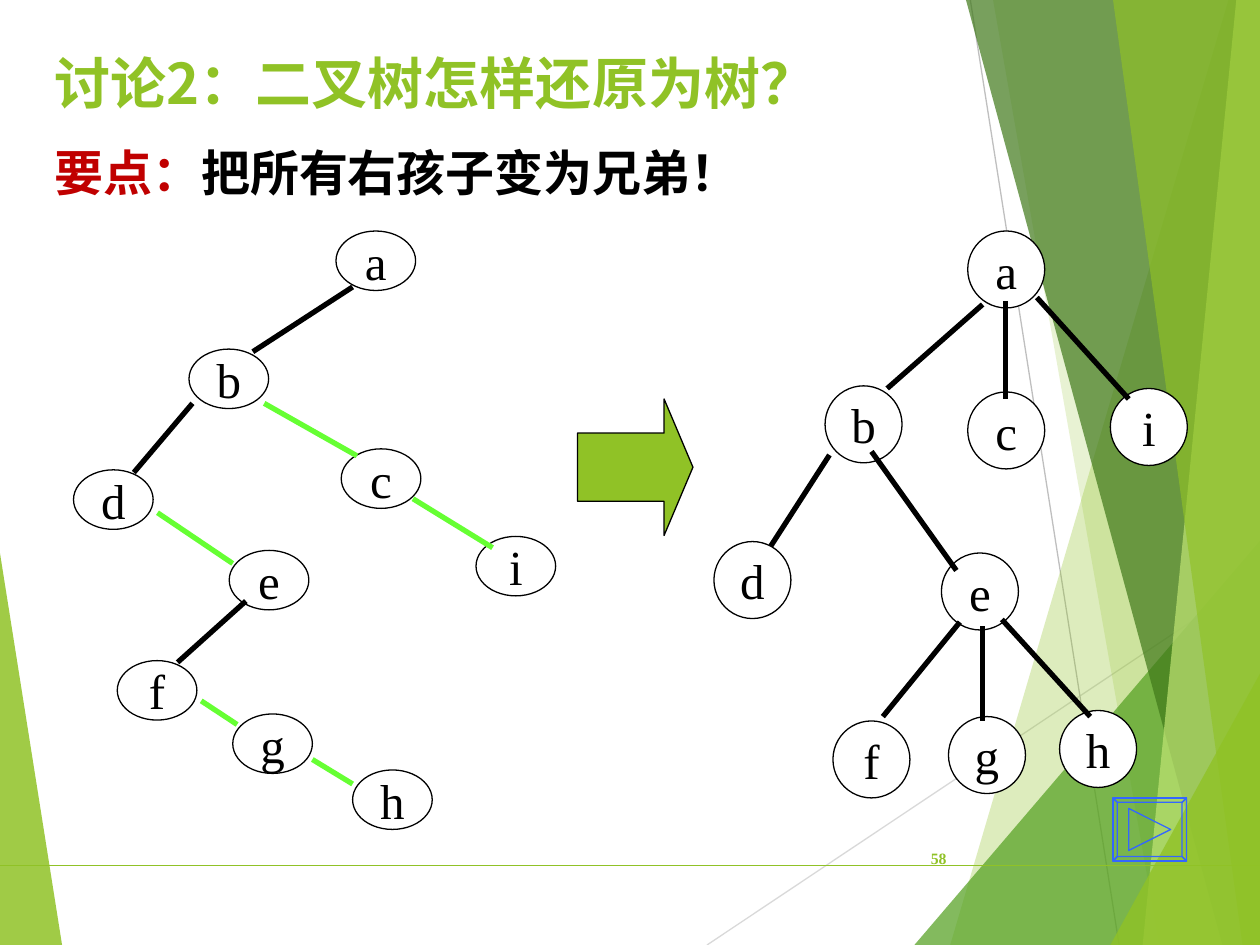
from dataclasses import dataclass

from lxml import etree
from pptx import Presentation
from pptx.dml.color import RGBColor
from pptx.enum.shapes import MSO_CONNECTOR, MSO_SHAPE
from pptx.enum.text import MSO_ANCHOR, MSO_AUTO_SIZE, PP_ALIGN
from pptx.oxml.ns import qn
from pptx.util import Pt

OVAL, ARROW = MSO_SHAPE.OVAL, MSO_SHAPE.RIGHT_ARROW
LINE = MSO_CONNECTOR.STRAIGHT
TOP, MID = MSO_ANCHOR.TOP, MSO_ANCHOR.MIDDLE
LEFT, MIDDLE, RIGHT = PP_ALIGN.LEFT, PP_ALIGN.CENTER, PP_ALIGN.RIGHT
WIDE, HIGH = 720, 540


@dataclass(frozen=True)
class Theme:
    green: str = "90C226"
    leaf: str = "54A021"
    dark: str = "3F7819"
    lime: str = "C0E474"
    link: str = "66FF33"
    red: str = "C00000"
    blue: str = "3366FF"
    black: str = "000000"
    white: str = "FFFFFF"
    pale: str = "D9D9D9"
    grey: str = "BFBFBF"
    head: int = 32
    body: int = 28
    note: int = 9
    thin: float = 0.75
    thick: float = 3
    sans: str = "Noto Sans CJK SC"
    serif: str = "Times New Roman"


T = Theme()

# Backdrop: points, colour, opacity in percent
FACETS = [
    ([(0, 316), (35.5, HIGH), (0, HIGH)], T.green, 85),
    ([(702, 0), (543, HIGH), (WIDE, HIGH), (WIDE, 0)], T.green, 30),
    ([(567.5, 0), (662.5, HIGH), (WIDE, HIGH), (WIDE, 0)], T.green, 20),
    ([(522.5, HIGH), (WIDE, 309), (WIDE, HIGH)], T.leaf, 72),
    ([(552, 0), (698.5, HIGH), (WIDE, HIGH), (WIDE, 0)], T.dark, 70),
    ([(706.5, 0), (653, HIGH), (WIDE, HIGH), (WIDE, 0)], T.lime, 70),
    ([(636, 0), (710, HIGH), (WIDE, HIGH), (WIDE, 0)], T.green, 65),
    ([(634.5, HIGH), (WIDE, 385), (WIDE, HIGH)], T.green, 80),
]

# Binary tree: node corners, left-child edges, right-child edges
BINARY = {"a": (192, 132), "b": (108, 199.5), "e": (131, 314.5),
          "i": (272, 306.5), "d": (42, 268.5), "f": (67, 377.5),
          "h": (201.5, 440), "g": (133, 408), "c": (195, 256.5)}
DOWN = [(201.5, 164, 144.5, 201), (110, 230.5, 76.5, 270),
        (140.5, 343.5, 101.5, 378.5)]
ACROSS = [(151, 230.5, 204, 260.5), (236, 285, 281.5, 313),
          (90, 293, 133, 322), (115, 400.5, 135.5, 414),
          (178.5, 434, 201.5, 448)]

# Restored tree: node corners, edges
TREE = {"a": (553, 132), "b": (471.5, 220.5), "e": (538, 316),
        "i": (634.5, 222), "d": (408, 309.5), "f": (476, 412),
        "h": (605.5, 406), "g": (542, 409.5), "c": (553, 224)}
LIMBS = [(561.5, 174, 507, 222), (474, 260, 440.5, 312),
         (592.5, 170, 645, 228), (498, 258, 546.5, 326),
         (548.5, 355.5, 504.5, 409.5), (572.5, 354, 623, 409.5),
         (561.5, 358, 561.5, 412), (574.5, 172, 574.5, 228)]


def rgb(code):
    return RGBColor.from_string(code)


def style(shape, fill=None, line=None, alpha=100):
    shape.shadow.inherit = False
    if fill:
        shape.fill.solid()
        shape.fill.fore_color.rgb = rgb(fill)
        if alpha < 100:
            tone = shape.fill._xPr.find(".//" + qn("a:srgbClr"))
            etree.SubElement(tone, qn("a:alpha"), val=str(alpha * 1000))
    else:
        shape.fill.background()
    if line:
        shape.line.color.rgb = rgb(line)
        shape.line.width = Pt(T.thin)
    else:
        shape.line.fill.background()


def write(shape, *parts, size=T.body, font=T.serif, bold=False,
          align=LEFT, anchor=TOP, wrap=True):
    """Each part is a pair of text and colour."""
    frame = shape.text_frame
    frame.auto_size = MSO_AUTO_SIZE.NONE
    frame.word_wrap = wrap
    frame.vertical_anchor = anchor
    para = frame.paragraphs[0]
    para.alignment = align
    for text, tone in parts:
        run = para.add_run()
        run.text = text
        run.font.size, run.font.bold = Pt(size), bold
        run.font.color.rgb = rgb(tone)
        run.font.name = font
        etree.SubElement(run.font._element, qn("a:ea"), typeface=font)


def box(shapes, x, y, w, h):
    return shapes.add_textbox(Pt(x), Pt(y), Pt(w), Pt(h))


def rule(shapes, ends, tone, width=T.thin):
    line = shapes.add_connector(LINE, *map(Pt, ends))
    line.line.color.rgb = rgb(tone)
    line.line.width = Pt(width)
    etree.SubElement(line._element.spPr, qn("a:effectLst"))


def outline(shapes, *loops):
    loops = [[(Pt(x), Pt(y)) for x, y in loop] for loop in loops]
    pen = shapes.build_freeform(*loops[0][0])
    for k, loop in enumerate(loops):
        if k:
            pen.move_to(*loop[0])
        pen.add_line_segments(loop[1:], close=True)
    return pen.convert_to_shape()


def graph(slide, nodes, w, h, edges, fill=None):
    """Draw nodes first, then edges as (ends, colour) groups."""
    group = slide.shapes.add_group_shape().shapes
    for name, (x, y) in nodes.items():
        node = group.add_shape(OVAL, Pt(x), Pt(y), Pt(w), Pt(h))
        style(node, fill, T.black)
        write(node, (name, T.black), align=MIDDLE, anchor=MID, wrap=False)
    for lines, tone in edges:
        for ends in lines:
            rule(group, ends, tone, T.thick)


def button(shapes, x, y, w, h, rim):
    outer = [(x, y), (x + w, y), (x + w, y + h), (x, y + h)]
    inner = [(x + rim, y + rim), (x + w - rim, y + rim),
             (x + w - rim, y + h - rim), (x + rim, y + h - rim)]
    sides = [[outer[k], outer[k - 3], inner[k - 3], inner[k]]
             for k in range(4)]
    cx, cy, r = x + w / 2, y + h / 2, 12
    play = [(cx - r, cy - r), (cx + r, cy), (cx - r, cy + r)]
    style(outline(shapes, outer, *sides, play), line=T.blue)


def main():
    deck = Presentation()
    deck.slide_width, deck.slide_height = Pt(WIDE), Pt(HIGH)
    slide = deck.slides.add_slide(deck.slide_layouts[5])
    shapes = slide.shapes

    # Backdrop
    rule(shapes, (404, HIGH, WIDE, 329), T.pale)
    rule(shapes, (554.5, 0, 639.5, HIGH), T.grey)
    for points, tone, alpha in FACETS:
        style(outline(shapes, points), tone, alpha=alpha)
    rule(shapes, (0, 494.5, WIDE, 494.5), T.green)

    # Page number
    write(box(shapes, 507.5, 476, 40.5, 29), ("58", T.green), size=T.note,
          bold=True, align=RIGHT, anchor=MID)

    # Title and key point
    title = shapes.title
    title.left, title.top, title.width, title.height = map(
        Pt, (24, 24, 498, 60))
    write(title, ("讨论2：二叉树怎样还原为树？", T.green), size=T.head,
          font=T.sans, bold=True)
    write(box(shapes, 24, 78, 414, 46), ("要点：", T.red),
          ("把所有右孩子变为兄弟！", T.black), font=T.sans, bold=True)

    # Trees and the arrow between them
    graph(slide, BINARY, 45.5, 34, [(DOWN, T.black), (ACROSS, T.link)])
    graph(slide, TREE, 44, 44, [(LIMBS, T.black)], T.white)
    arrow = shapes.add_shape(ARROW, Pt(330), Pt(228), Pt(66), Pt(78))
    arrow.adjustments[0], arrow.adjustments[1] = 0.5, 0.25
    style(arrow, T.green, T.black)

    # Next button
    button(shapes, 636, 456, 42, 36, 2.5)

    deck.save("out.pptx")


if __name__ == "__main__":
    main()
